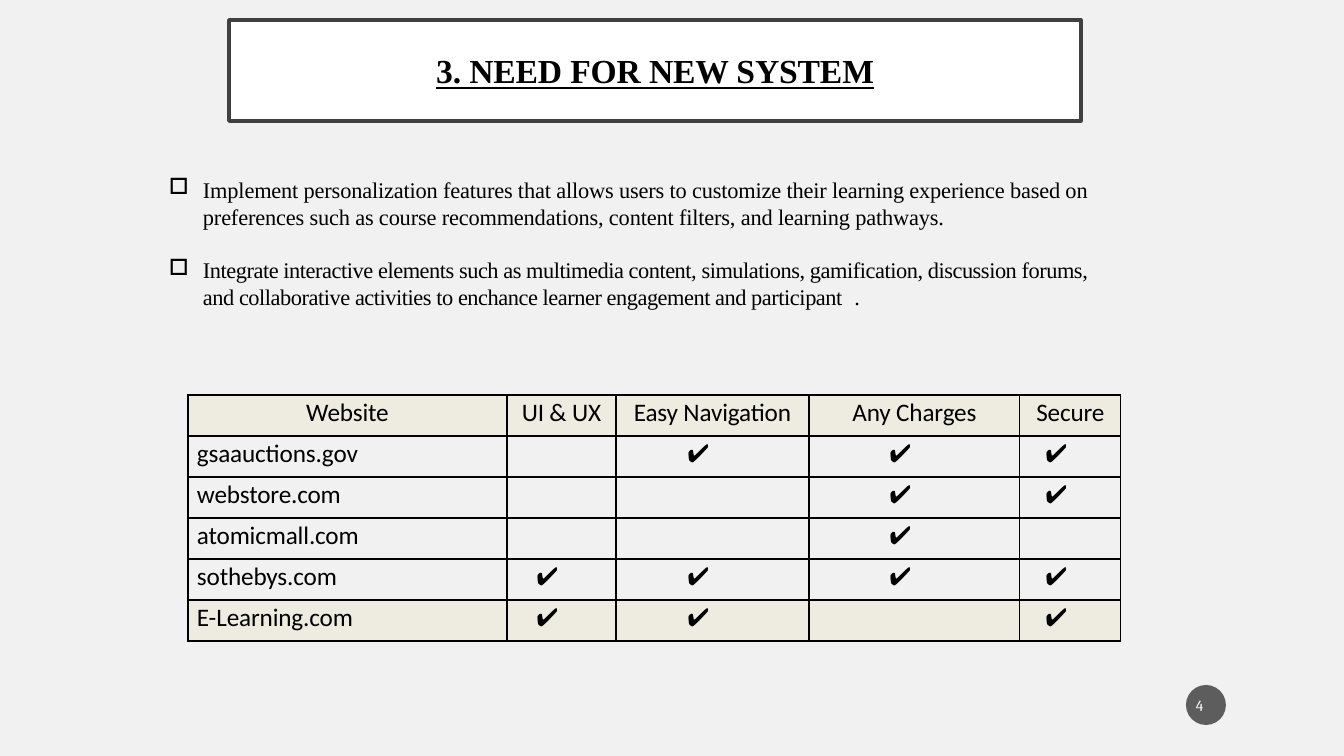
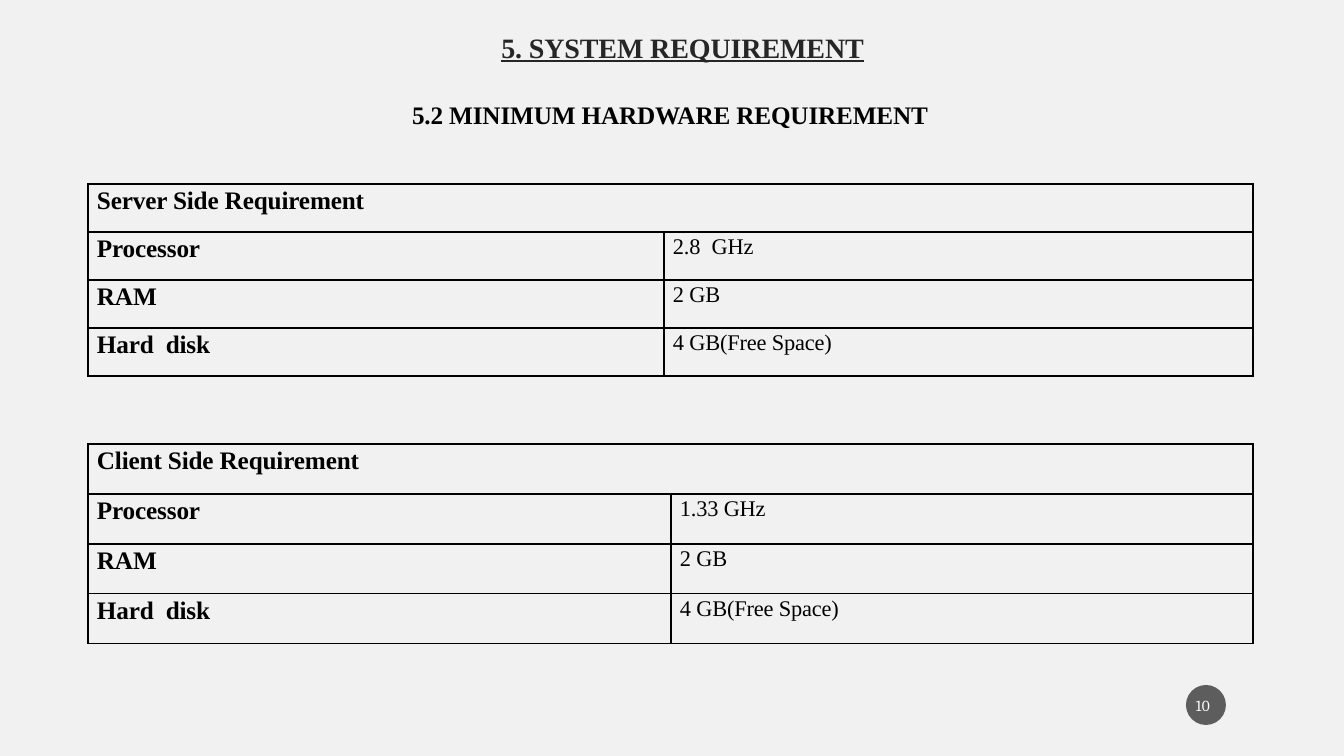
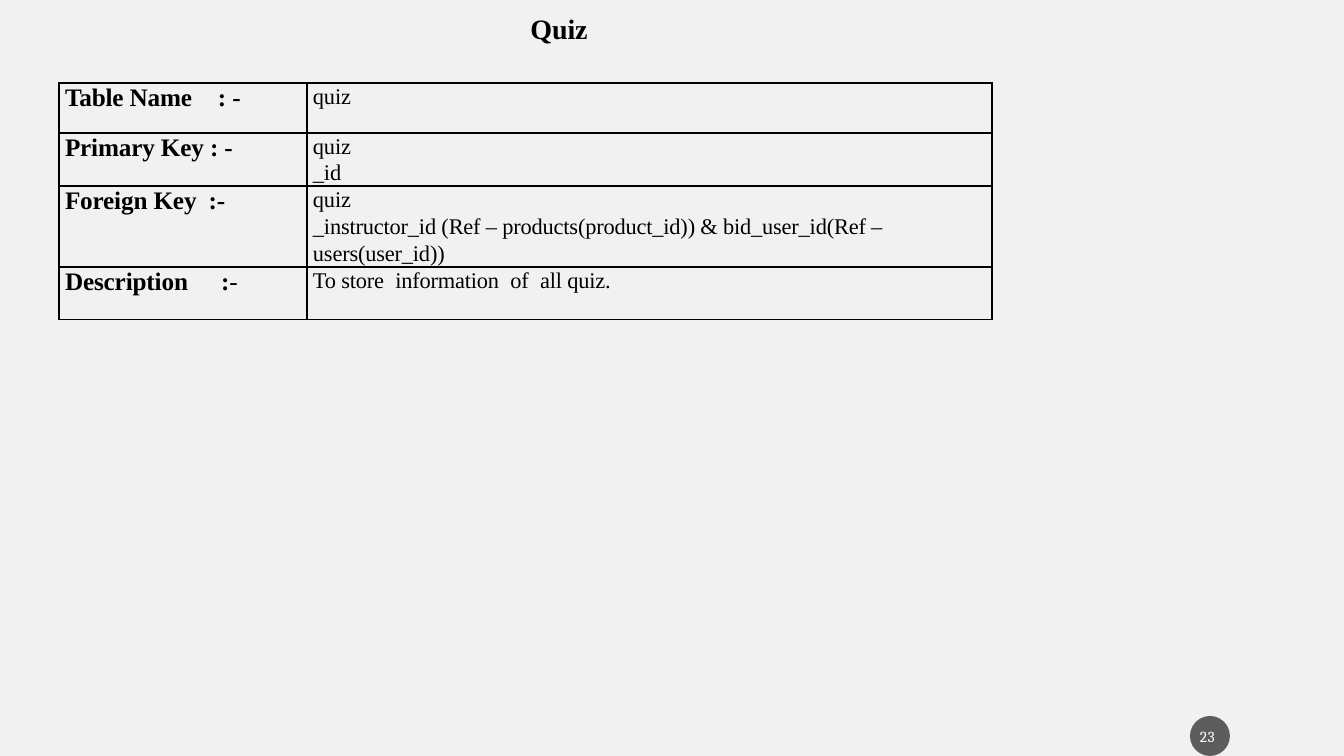
from lxml import etree
from pptx import Presentation
from pptx import util as u
from pptx.dml import color
from pptx.enum import shapes, text
from pptx.oxml import ns

PX = 914400 / 100.8
SLIDE_SIZE = (1344, 756)
COLORS = {
    "background": "F1F1F1",
    "white": "FFFFFF",
    "black": "000000",
    "title_grey": "262626",
    "frame": "404040",
    "badge": "1C1C1C",
    "highlight": "EEECE1",
}
SERIF, SANS, NUMBER, SYMBOL = "Times New Roman", "Calibri", "Cambria", "Karla"
LEFT, CENTER = text.PP_ALIGN.LEFT, text.PP_ALIGN.CENTER
TITLE_ONLY = 5
WIDE_SPACE = 4  # points added to a space that stands alone as a piece


def px(length):
    return u.Emu(round(length * PX))


def rgb(name):
    return color.RGBColor.from_string(COLORS[name])


def add_xml(parent, tag, **attributes):
    return etree.SubElement(parent, ns.qn(tag), attributes)


def write(paragraph, pieces, size, font=SERIF, ink="black", bold=False,
          underline=False, spacing=-0.1, align=LEFT, line=None):
    """Write one string, or a tuple of pieces, as evenly formatted runs."""
    for piece in (pieces,) if isinstance(pieces, str) else pieces:
        run = paragraph.add_run()
        run.text = piece
        run.font.name = font
        run.font.size = u.Pt(size)
        run.font.bold = bold
        run.font.underline = underline
        run.font.color.rgb = rgb(ink)
        points = WIDE_SPACE if piece == " " else spacing
        run.font._element.set("spc", str(round(points * 100)))
    paragraph.alignment = align
    if line:
        paragraph.line_spacing = u.Pt(line)


def set_frame(frame, margins=(0, 0, 0, 0), anchor=text.MSO_ANCHOR.TOP, wrap=True):
    frame.auto_size = text.MSO_AUTO_SIZE.NONE
    frame.word_wrap = wrap
    frame.vertical_anchor = anchor
    (frame.margin_left, frame.margin_top,
     frame.margin_right, frame.margin_bottom) = map(px, margins)


def add_tab(paragraph, position):
    tabs = add_xml(paragraph._p.get_or_add_pPr(), "a:tabLst")
    add_xml(tabs, "a:tab", pos=str(px(position)), algn="l")


# Shared parts

def add_slide(presentation, title, box, size=20, ink="black", underline=True,
              anchor=text.MSO_ANCHOR.TOP):
    slide = presentation.slides.add_slide(presentation.slide_layouts[TITLE_ONLY])
    shape = slide.shapes.title
    shape.left, shape.top, shape.width, shape.height = map(px, box)
    top = 3 if anchor == text.MSO_ANCHOR.TOP else 0
    set_frame(shape.text_frame, (0, top, 0, 0), anchor, wrap=False)
    write(shape.text_frame.paragraphs[0], title, size, ink=ink, bold=True,
          underline=underline, align=CENTER)
    return slide


def add_badge(slide, number, left=1186, top=685):
    badge = slide.shapes.add_shape(
        shapes.MSO_SHAPE.OVAL, px(left), px(top), px(40), px(40))
    badge.shadow.inherit = False
    badge.line.fill.background()
    badge.fill.solid()
    badge.fill.fore_color.rgb = rgb("badge")
    tint = badge._element.spPr.find(".//" + ns.qn("a:srgbClr"))
    add_xml(tint, "a:alpha", val="69000")
    set_frame(badge.text_frame, (4, 0, 0, 0), text.MSO_ANCHOR.MIDDLE, wrap=False)
    write(badge.text_frame.paragraphs[0], number, 11, NUMBER, "white", spacing=0.4)


def format_cell(cell, margins, fill=None):
    (cell.margin_left, cell.margin_top,
     cell.margin_right, cell.margin_bottom) = map(px, margins)
    properties = cell._tc.get_or_add_tcPr()
    for side in ("a:lnL", "a:lnR", "a:lnT", "a:lnB"):
        border = add_xml(properties, side, w=str(u.Pt(1)))
        add_xml(add_xml(border, "a:solidFill"), "a:srgbClr", val=COLORS["black"])
    if fill:
        cell.fill.solid()
        cell.fill.fore_color.rgb = rgb(fill)
    else:
        cell.fill.background()


def add_grid(slide, left, top, columns, rows):
    table = slide.shapes.add_table(
        len(rows), len(columns), px(left), px(top),
        px(sum(columns)), px(sum(rows))).table
    table.first_row = table.horz_banding = False
    for column, width in zip(table.columns, columns):
        column.width = px(width)
    for row, height in zip(table.rows, rows):
        row.height = px(height)
    return table


# Need for a new system

def add_bullets(slide, box, items):
    frame = slide.shapes.add_textbox(*map(px, box)).text_frame
    set_frame(frame, (0, 1, 0, 0))
    for index, (pieces, spacing) in enumerate(items):
        paragraph = frame.add_paragraph() if index else frame.paragraphs[0]
        properties = paragraph._p.get_or_add_pPr()
        properties.set("marL", str(px(35)))
        properties.set("indent", str(-px(34)))
        add_xml(properties, "a:buChar", char="□")
        write(paragraph, pieces, 16, spacing=spacing, line=19.2)
        if index:
            paragraph.space_before = u.Pt(19.2)


def add_comparison(slide, left, top, headers, sites):
    columns = (319, 109, 193, 211, 101)
    table = add_grid(slide, left, top, columns, [41] * (len(sites) + 1))
    for column, header in enumerate(headers):
        cell = table.cell(0, column)
        format_cell(cell, (0, 3, 0, 0), "highlight")
        write(cell.text_frame.paragraphs[0], header, 18, SANS, align=CENTER)
    for row, (site, marks) in enumerate(sites, 1):
        fill = "highlight" if row == len(sites) else None
        name = table.cell(row, 0)
        format_cell(name, (9, 3, 0, 0), fill)
        write(name.text_frame.paragraphs[0], site, 18, SANS)
        for column, marked in enumerate(marks, 1):
            cell = table.cell(row, column)
            format_cell(cell, (0, 3, 28, 0), fill)
            if marked:
                write(cell.text_frame.paragraphs[0], "✔", 18, SYMBOL,
                      spacing=1.8, align=CENTER)


def build_need(presentation):
    slide = add_slide(presentation, "3. NEED FOR NEW SYSTEM", (229, 20, 852, 101),
                      size=24, anchor=text.MSO_ANCHOR.MIDDLE)
    title = slide.shapes.title
    title.fill.solid()
    title.fill.fore_color.rgb = rgb("white")
    title.line.color.rgb = rgb("frame")
    title.line.width = u.Pt(2.5)
    add_bullets(slide, (168, 175, 932, 137), (
        ("Implement personalization features that allows users to customize "
         "their learning experience based on preferences such as course "
         "recommendations, content filters, and learning pathways.", -0.1),
        (("Integrate interactive elements such as multimedia content, "
          "simulations, gamification, discussion forums, and collaborative "
          "activities to enchance learner engagement and participant",
          " ", "."), -0.3),
    ))
    add_comparison(
        slide, 188, 395,
        ("Website", "UI & UX", "Easy Navigation", "Any Charges", "Secure"),
        (("gsaauctions.gov", (0, 1, 1, 1)),
         ("webstore.com", (0, 0, 1, 1)),
         ("atomicmall.com", (0, 0, 1, 0)),
         ("sothebys.com", (1, 1, 1, 1)),
         ("E-Learning.com", (1, 1, 0, 1))))
    add_badge(slide, "4")


# Hardware requirements

def add_hardware(slide, left, top, columns, row_height, heading, processor):
    table = add_grid(slide, left, top, columns, [row_height] * 4)
    rows = ((heading, ""),
            ("Processor", processor),
            ("RAM", "2 GB"),
            (("Hard", " ", "disk"), "4 GB(Free Space)"))
    for row, (label, value) in enumerate(rows):
        for column, (pieces, size) in enumerate(((label, 18), (value, 16))):
            cell = table.cell(row, column)
            format_cell(cell, (9, 3, 0, 0))
            if pieces:
                write(cell.text_frame.paragraphs[0], pieces, size,
                      bold=column == 0)
    table.cell(0, 0).merge(table.cell(0, 1))


def build_hardware(presentation):
    slide = add_slide(presentation, "5. SYSTEM REQUIREMENT", (499, 27, 367, 36),
                      ink="title_grey")
    subtitle = slide.shapes.add_textbox(*map(px, (410, 96, 520, 33))).text_frame
    set_frame(subtitle, (0, 3, 0, 0), wrap=False)
    write(subtitle.paragraphs[0], "5.2 MINIMUM HARDWARE REQUIREMENT", 18,
          bold=True, align=CENTER)
    add_hardware(slide, 88, 184, (576, 589), 48,
                 "Server Side Requirement", ("2.8", " ", "GHz"))
    add_hardware(slide, 88, 444, (583, 582), 50,
                 "Client Side Requirement", "1.33 GHz")
    add_badge(slide, "10")


# Quiz table description

def add_description(slide, left, top, rows):
    table = add_grid(slide, left, top, (248, 685), [row[0] for row in rows])
    for index, (_, label, tab, values, line) in enumerate(rows):
        name, detail = table.cell(index, 0), table.cell(index, 1)
        for cell in (name, detail):
            format_cell(cell, (6, 0, 0, 0))
        paragraph = name.text_frame.paragraphs[0]
        if tab:
            add_tab(paragraph, tab)
        write(paragraph, label, 18, bold=True, line=20.9)
        frame = detail.text_frame
        for position, value in enumerate(values):
            paragraph = frame.add_paragraph() if position else frame.paragraphs[0]
            write(paragraph, value, 16, line=line)
    return table


def build_quiz(presentation):
    slide = add_slide(presentation, "Quiz", (529, 8, 60, 35), underline=False)
    table = add_description(slide, 59, 83, (
        (50, "Table Name\t: -", 153, ("quiz",), 18.6),
        (53, "Primary Key : -", None, ("quiz", "_id"), 18.6),
        (81, ("Foreign Key", " ", ":-"), None,
         ("quiz", "_instructor_id (Ref – products(product_id)) & "
                  "bid_user_id(Ref – users(user_id))"), 19.2),
        (53, ("Description\t:", "-"), 156,
         (("To store", " ", "information", " ", "of", " ", "all quiz."),), 18.6),
    ))
    table.cell(3, 0).text_frame.paragraphs[0].runs[-1].font.bold = False
    add_badge(slide, "23", 1190, 716)


def main():
    presentation = Presentation()
    presentation.slide_width, presentation.slide_height = map(px, SLIDE_SIZE)
    background = presentation.slide_master.background.fill
    background.solid()
    background.fore_color.rgb = rgb("background")
    build_need(presentation)
    build_hardware(presentation)
    build_quiz(presentation)
    presentation.save("out.pptx")


if __name__ == "__main__":
    main()
